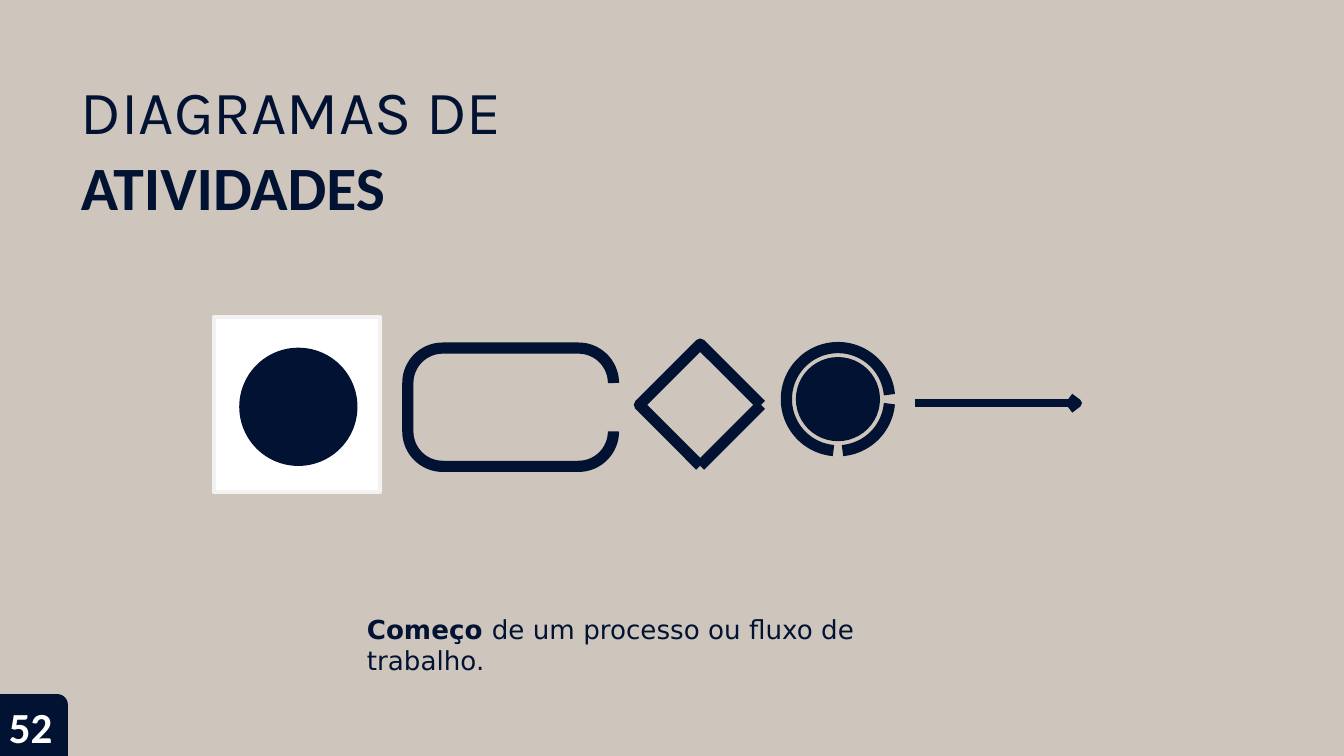
import math
from dataclasses import dataclass
from typing import NamedTuple

from lxml import etree
from pptx import Presentation, util as u
from pptx.dml.color import RGBColor
from pptx.enum import shapes, text
from pptx.oxml.ns import qn


@dataclass(frozen=True)
class Theme:
    paper: str = "CEC6BD"
    ink: str = "011232"
    white: str = "FFFFFF"
    frame: str = "F2F2F2"
    light_font: str = "Karla"
    strong_font: str = "Calibri"
    body_font: str = "DejaVu Sans"
    title_size: float = 33
    number_size: float = 23
    body_size: float = 14
    symbol_line: float = 6
    arrow_line: float = 4.5
    frame_line: float = 2


class Area(NamedTuple):
    """Left, top, width and height in grid columns and rows."""
    left: float
    top: float
    width: float
    height: float


class Span(NamedTuple):
    words: str
    font: str
    size: float
    color: str
    bold: bool = False


Point = tuple[float, float]
THEME = Theme()
COLUMNS, ROWS = 100, 56.25
CELL = u.Inches(0.1)


def grid(value: float) -> int:
    return round(value * CELL)


def rgb(color: str) -> RGBColor:
    return RGBColor.from_string(color)


def arc(center: Point, radius: float, start: float, end: float) -> list[Point]:
    """Points of an arc; angles in degrees, clockwise from the right."""
    steps = math.ceil(abs(end - start) / 4)
    angles = [math.radians(start + (end - start) * i / steps) for i in range(steps + 1)]
    return [(center[0] + radius * math.cos(a), center[1] + radius * math.sin(a)) for a in angles]


def add_solid(page, kind, area: Area, fill: str, line: str = "", width: float = 0):
    shape = page.shapes.add_shape(kind, *map(grid, area))
    shape.shadow.inherit = False
    shape.fill.solid()
    shape.fill.fore_color.rgb = rgb(fill)
    if line:
        shape.line.color.rgb = rgb(line)
        shape.line.width = u.Pt(width)
    else:
        shape.line.fill.background()
    return shape


def add_outline(page, strokes: list[list[Point]], width: float) -> None:
    first, *others = [[(grid(x), grid(y)) for x, y in stroke] for stroke in strokes]
    builder = page.shapes.build_freeform(*first[0], scale=1.0)
    builder.add_line_segments(first[1:], close=False)
    for stroke in others:
        builder.move_to(*stroke[0])
        builder.add_line_segments(stroke[1:], close=False)
    shape = builder.convert_to_shape()
    shape.shadow.inherit = False
    shape.fill.background()
    shape.line.color.rgb = rgb(THEME.ink)
    shape.line.width = u.Pt(width)


def add_line(page, start: Point, end: Point, width: float) -> None:
    line = page.shapes.add_connector(shapes.MSO_CONNECTOR.STRAIGHT, *map(grid, start + end))
    line.line.color.rgb = rgb(THEME.ink)
    line.line.width = u.Pt(width)
    etree.SubElement(line._element.spPr, qn("a:effectLst"))


def add_text(page, area: Area, lines: list[list[Span]], inset: Point) -> None:
    box = page.shapes.add_textbox(*map(grid, area))
    frame = box.text_frame
    frame.word_wrap = True
    frame.vertical_anchor = text.MSO_ANCHOR.TOP
    frame.margin_left, frame.margin_top = map(grid, inset)
    frame.margin_right = frame.margin_bottom = 0
    for index, spans in enumerate(lines):
        para = frame.paragraphs[0] if index == 0 else frame.add_paragraph()
        if index:
            para.space_before = u.Pt(1)
        for span in spans:
            run = para.add_run()
            run.text = span.words
            run.font.name = span.font
            run.font.size = u.Pt(span.size)
            run.font.bold = span.bold
            run.font.color.rgb = rgb(span.color)


def draw_symbols(page) -> None:
    oval, rectangle = shapes.MSO_SHAPE.OVAL, shapes.MSO_SHAPE.RECTANGLE

    # Activity: rounded box, open on the right
    left, top, right, bottom, radius = 30.35, 25.9, 45.65, 34.7, 2.6
    near, far = left + radius, right - radius
    high, low = top + radius, bottom - radius
    corners = [((far, low), 0), ((near, low), 90), ((near, high), 180), ((far, high), 270)]
    activity = [p for center, turn in corners for p in arc(center, radius, turn, turn + 90)]
    add_outline(page, [activity], THEME.symbol_line)

    # Decision: diamond
    x, y, half = 52.1, 30.13, 4.53
    east, south, west, north = (x + half, y), (x, y + half), (x - half, y), (x, y - half)
    add_outline(page, [[east, south], [south, west, north, east]], THEME.symbol_line)

    # End: broken ring around a disc
    center, radius = (62.35, 29.7), 3.84
    ring = [arc(center, radius, 85, 5), arc(center, radius, -5, -265)]
    add_outline(page, ring, THEME.symbol_line)
    add_solid(page, oval, Area(59.22, 26.57, 6.26, 6.26), THEME.ink)

    # Start: disc on a highlighted card
    add_solid(page, rectangle, Area(15.9, 23.6, 12.4, 13), THEME.white,
              THEME.frame, THEME.frame_line)
    add_solid(page, oval, Area(17.8, 25.87, 8.8, 8.8), THEME.ink)

    # Flow: arrow with an open head
    tip = (80.2, 30)
    add_line(page, (68.1, tip[1]), tip, THEME.arrow_line)
    head = [(tip[0] - 0.6, tip[1] - 0.45), tip, (tip[0] - 0.6, tip[1] + 0.45)]
    add_outline(page, [head], THEME.arrow_line)


def main() -> None:
    deck = Presentation()
    deck.slide_width, deck.slide_height = grid(COLUMNS), grid(ROWS)
    page = deck.slides.add_slide(deck.slide_layouts[6])
    page.background.fill.solid()
    page.background.fill.fore_color.rgb = rgb(THEME.paper)

    # Page number tab
    tab = add_solid(page, shapes.MSO_SHAPE.ROUND_1_RECTANGLE,
                    Area(0, ROWS - 4.6, 5.05, 4.6), THEME.ink)
    tab.adjustments[0] = 0.17

    draw_symbols(page)

    # Title, page number and caption
    add_text(page, Area(5.93, 5.35, 37.3, 11.4), [
        [Span("DIAGRAMAS DE", THEME.light_font, THEME.title_size, THEME.ink)],
        [Span("ATIVIDADES", THEME.strong_font, THEME.title_size, THEME.ink, True)],
    ], (0.1, 0.1))
    add_text(page, Area(0.36, 51.84, 6.5, 4.2), [
        [Span("52", THEME.strong_font, THEME.number_size, THEME.white, True)],
    ], (0.3, 0.3))
    add_text(page, Area(27.2, 45.54, 45.6, 4.8), [
        [Span("Começo ", THEME.body_font, THEME.body_size, THEME.ink, True),
         Span("de um processo ou fluxo de trabalho.", THEME.body_font,
              THEME.body_size, THEME.ink)],
    ], (0.1, 0.1))

    deck.save("out.pptx")


if __name__ == "__main__":
    main()
